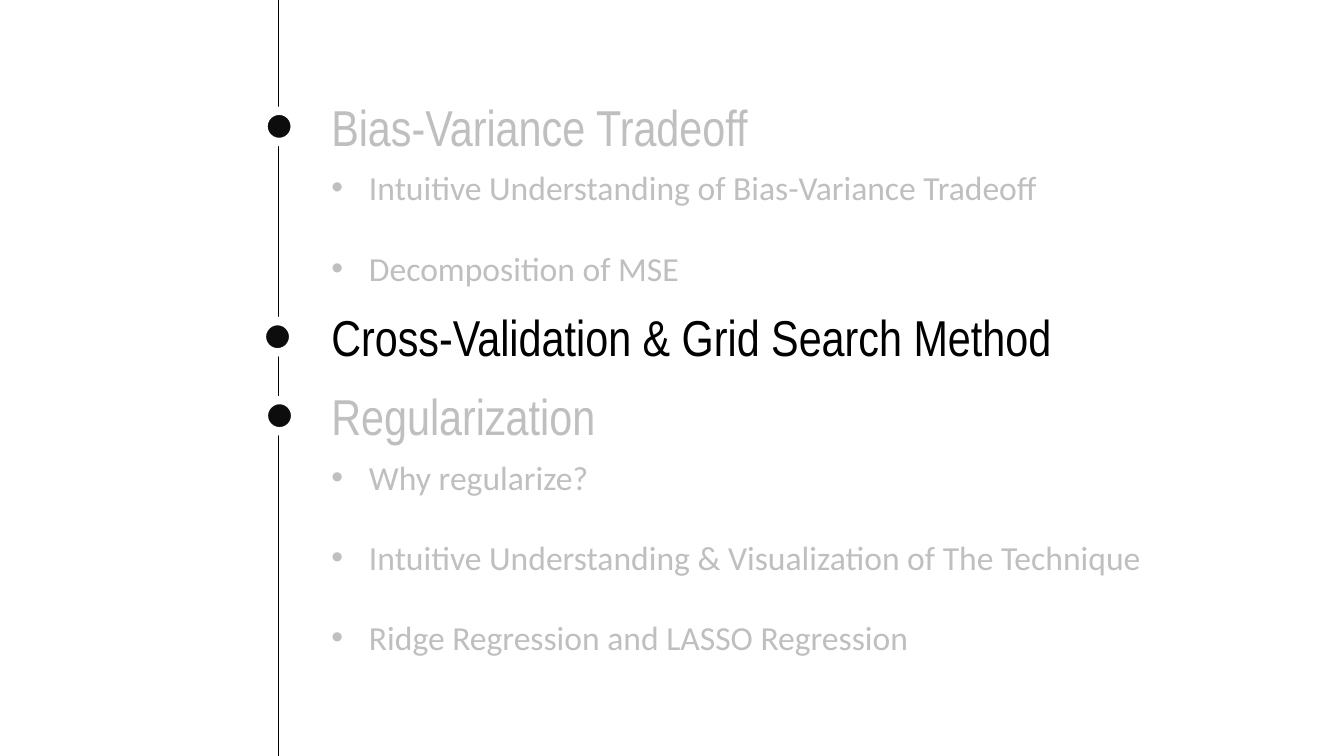
import pptx
import pptx.util
import pptx.dml.color
import pptx.enum.shapes
import pptx.enum.text
import pptx.oxml.ns
import lxml.etree

Cm = pptx.util.Cm
Pt = pptx.util.Pt
RGB = pptx.dml.color.RGBColor
BLACK = RGB(0x00, 0x00, 0x00)
DARK = RGB(0x0D, 0x0D, 0x0D)
GRAY = RGB(0xBF, 0xBF, 0xBF)
WHITE = RGB(0xFF, 0xFF, 0xFF)
qn = pptx.oxml.ns.qn

deck = pptx.Presentation()
deck.slide_width = Cm(33.87)
deck.slide_height = Cm(19.05)
slide = deck.slides.add_slide(deck.slide_layouts[6])
shapes = slide.shapes


def add_text(lines, top, width, height, size, font, color, bullet=False, gap=0):
    box = shapes.add_textbox(Cm(8.1), Cm(top), Cm(width), Cm(height))
    frame = box.text_frame
    frame.word_wrap = True
    frame.auto_size = pptx.enum.text.MSO_AUTO_SIZE.SHAPE_TO_FIT_TEXT
    for i, line in enumerate(lines):
        para = frame.paragraphs[0] if i == 0 else frame.add_paragraph()
        if bullet:
            props = para._p.get_or_add_pPr()
            props.set("marL", str(Cm(0.95)))
            props.set("indent", str(-Cm(0.95)))
            lxml.etree.SubElement(props, qn("a:buFont")).set("typeface", "Arial")
            lxml.etree.SubElement(props, qn("a:buChar")).set("char", "•")
        if i > 0:
            para.space_before = Pt(gap)
        run = para.add_run()
        run.text = line
        run.font.size = Pt(size)
        run.font.name = font
        run.font.color.rgb = color


rail = shapes.add_connector(
    pptx.enum.shapes.MSO_CONNECTOR.STRAIGHT, Cm(7.01), 0, Cm(7.01), deck.slide_height)
rail.line.color.rgb = BLACK
rail.line.width = Pt(0.5)
lxml.etree.SubElement(rail._element.spPr, qn("a:effectLst"))

parts = [
    ("Bias-Variance Tradeoff", 2.29, 14.83, 6.64, GRAY, 3.33,
     ["Intuitive Understanding of Bias-Variance Tradeoff", "Decomposition of MSE"]),
    ("Cross-Validation & Grid Search Method", 7.59, 21.77, 6.6, BLACK, 0, []),
    ("Regularization", 9.58, 14.83, 6.65, GRAY, 5.38,
     ["Why regularize?",
      "Intuitive Understanding & Visualization of The Technique",
      "Ridge Regression and LASSO Regression"]),
]

for title, top, width, left, color, height, points in parts:
    dot = shapes.add_shape(
        pptx.enum.shapes.MSO_SHAPE.OVAL, Cm(left), Cm(top + 0.5), Cm(0.79), Cm(0.79))
    dot.shadow.inherit = False
    dot.fill.solid()
    dot.fill.fore_color.rgb = DARK
    dot.line.color.rgb = WHITE
    dot.line.width = Pt(6)
    add_text([title], top, width, 1.8, size=36, font="Arial Narrow", color=color)
    if points:
        add_text(points, top + 1.8, 21.21, height, size=24, font="Calibri",
                 color=color, bullet=True, gap=28.5)

deck.save("out.pptx")
